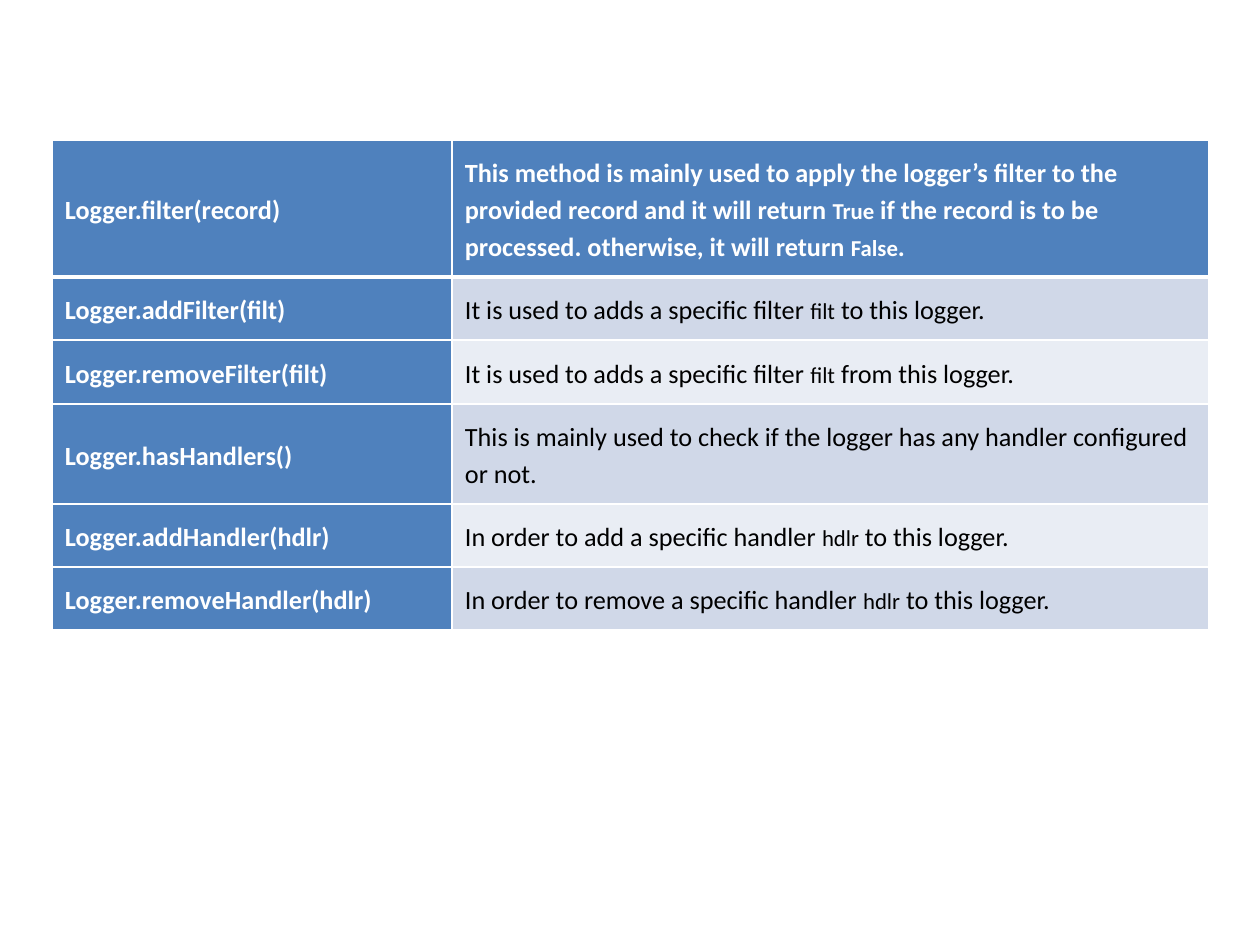
from lxml import etree
from pptx import Presentation
from pptx.dml.color import RGBColor
from pptx.enum.text import MSO_ANCHOR
from pptx.oxml.ns import qn
from pptx.util import Emu, Pt

PX = 914400 // 126
COLORS = {"blue": "4F81BD", "band": "D0D8E8", "light": "E9EDF4",
          "white": "FFFFFF", "black": "000000"}
COL_WIDTHS = [400, 757]
ROW_HEIGHTS = [136, 63, 64, 100, 63, 63]
MARGIN = 13

# Each description alternates body text and smaller code words.
METHODS = [
    ("Logger.filter(record)",
     ["This method is mainly used to apply the logger’s filter to the "
      "provided record and it will return\u00a0", "True",
      "\u00a0if the record is to be processed. otherwise, it will return\u00a0",
      "False", "."]),
    ("Logger.addFilter(filt)",
     ["It is used to adds a specific filter\u00a0", "filt",
      "\u00a0to this logger."]),
    ("Logger.removeFilter(filt)",
     ["It is used to adds a specific filter\u00a0", "filt",
      "\u00a0from this logger."]),
    ("Logger.hasHandlers()",
     ["This is mainly used to check if the logger\u00a0has any handler "
      "configured or not."]),
    ("Logger.addHandler(hdlr)",
     ["In order to add a specific handler\u00a0", "hdlr",
      "\u00a0to this logger."]),
    ("Logger.removeHandler(hdlr)",
     ["In order to remove a specific handler\u00a0", "hdlr",
      "\u00a0to this logger."]),
]


def set_borders(cell, bottom):
    """Draw white cell borders, with the bottom width given in points."""
    tcPr = cell._tc.get_or_add_tcPr()
    widths = {"a:lnL": 1, "a:lnR": 1, "a:lnT": 1, "a:lnB": bottom}
    for i, (tag, width) in enumerate(widths.items()):
        ln = etree.Element(qn(tag), w=str(Pt(width)))
        fill = etree.SubElement(ln, qn("a:solidFill"))
        etree.SubElement(fill, qn("a:srgbClr"), val=COLORS["white"])
        tcPr.insert(i, ln)


def fill_cell(cell, parts, fill, color, bold):
    """Style a cell and write its text, with every second part smaller."""
    cell.fill.solid()
    cell.fill.fore_color.rgb = RGBColor.from_string(COLORS[fill])
    cell.vertical_anchor = MSO_ANCHOR.MIDDLE
    cell.margin_left = cell.margin_right = Emu(MARGIN * PX)
    cell.margin_top = cell.margin_bottom = Emu(MARGIN * PX)
    p = cell.text_frame.paragraphs[0]
    p.line_spacing = 1.15
    p.space_before = p.space_after = Pt(15)
    p.font.name = "Calibri"
    p.font.size = Pt(15)
    p.font.bold = bold
    p.font.color.rgb = RGBColor.from_string(COLORS[color])
    for i, part in enumerate(parts):
        r = p.add_run()
        r.text = part
        r.font.name = "Calibri"
        r.font.size = Pt(13 if i % 2 else 15)
        r.font.bold = bold
        r.font.color.rgb = RGBColor.from_string(COLORS[color])


prs = Presentation()
prs.slide_width = Emu(1260 * PX)
prs.slide_height = Emu(945 * PX)
s = prs.slides.add_slide(prs.slide_layouts[6])

table = s.shapes.add_table(
    len(METHODS), 2, Emu(52 * PX), Emu(140 * PX),
    Emu(sum(COL_WIDTHS) * PX), Emu(sum(ROW_HEIGHTS) * PX)).table
table.first_col = True
for column, width in zip(table.columns, COL_WIDTHS):
    column.width = Emu(width * PX)

for i, (method, description) in enumerate(METHODS):
    table.rows[i].height = Emu(ROW_HEIGHTS[i] * PX)
    header = i == 0
    name_cell, text_cell = table.cell(i, 0), table.cell(i, 1)
    fill_cell(name_cell, [method], "blue", "white", True)
    if header:
        fill_cell(text_cell, description, "blue", "white", True)
    else:
        band = "band" if i % 2 else "light"
        fill_cell(text_cell, description, band, "black", False)
    for cell in (name_cell, text_cell):
        set_borders(cell, 3 if header else 1)
        if i == 1:
            cell._tc.tcPr.find(qn("a:lnT")).set("w", str(Pt(3)))

prs.save("out.pptx")
